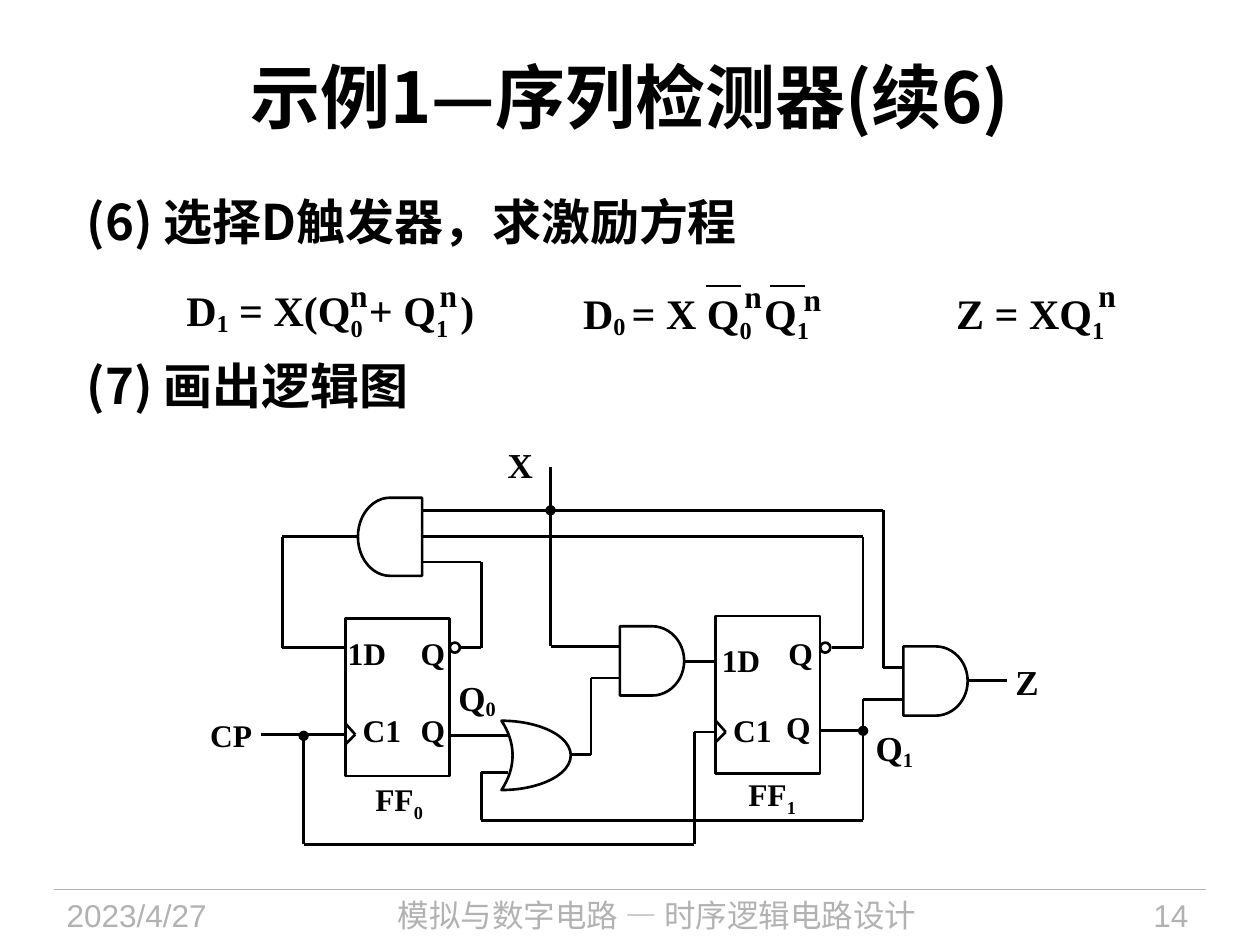
from lxml import etree
from pptx import Presentation
from pptx.dml.color import RGBColor
from pptx.enum.shapes import MSO_CONNECTOR, MSO_SHAPE
from pptx.enum.text import MSO_ANCHOR, MSO_AUTO_SIZE, PP_ALIGN
from pptx.oxml.ns import qn
from pptx.util import Inches, Pt

BLACK = RGBColor(0x00, 0x00, 0x00)
WHITE = RGBColor(0xFF, 0xFF, 0xFF)
GRAY = RGBColor(0xB2, 0xB2, 0xB2)
HAN, SERIF, SANS = "Noto Sans CJK SC", "Times New Roman", "Arial"
LEFT, CENTER, RIGHT = PP_ALIGN.LEFT, PP_ALIGN.CENTER, PP_ALIGN.RIGHT
MIDDLE = MSO_ANCHOR.MIDDLE
GROW = MSO_AUTO_SIZE.SHAPE_TO_FIT_TEXT
STRAIGHT = MSO_CONNECTOR.STRAIGHT
RECTANGLE, OVAL = MSO_SHAPE.RECTANGLE, MSO_SHAPE.OVAL
DELAY, MOON = MSO_SHAPE.FLOWCHART_DELAY, MSO_SHAPE.MOON
COLUMNS, ROWS = 100, 75


class CircuitPage:
    def __init__(self, deck):
        self.page = deck.slides.add_slide(deck.slide_layouts[5])
        self.shapes = self.page.shapes
        self.column = deck.slide_width / COLUMNS
        self.row = deck.slide_height / ROWS

    def place(self, left, top, width, height):
        return (round(left * self.column), round(top * self.row),
                round(width * self.column), round(height * self.row))

    def style(self, span, size, font=SERIF, color=BLACK, bold=True):
        span.font.size = Pt(size)
        span.font.bold = bold
        span.font.color.rgb = color
        span.font.name = font
        if font == HAN:
            etree.SubElement(span.font._element, qn("a:ea")).set("typeface", HAN)

    def title(self, area, text, size):
        box = self.shapes.title
        box.left, box.top, box.width, box.height = self.place(*area)
        box.text_frame.text = text
        box.text_frame.vertical_anchor = MIDDLE
        para = box.text_frame.paragraphs[0]
        para.alignment = CENTER
        self.style(para.runs[0], size, HAN)

    def text(self, area, lines, size, font, color=BLACK, bold=True, align=LEFT, gap=0):
        frame = self.shapes.add_textbox(*self.place(*area)).text_frame
        frame.word_wrap = True
        frame.text = "\n".join(lines)
        for index, para in enumerate(frame.paragraphs):
            para.alignment = align
            para.space_before = Pt(gap if index else 0)
            self.style(para.runs[0], size, font, color, bold)

    def label(self, area, spans, size=18):
        frame = self.shapes.add_textbox(*self.place(*area)).text_frame
        frame.word_wrap = False
        frame.auto_size = GROW
        para = frame.paragraphs[0]
        for text, baseline, spacing in spans:
            span = para.add_run()
            span.text = text
            self.style(span, size)
            if baseline:
                span.font._element.set("baseline", str(baseline * 1000))
            if spacing:
                span.font._element.set("spc", str(spacing))

    def wire(self, points, dot=False, color=BLACK, weight=1.5):
        for index, (start, end) in enumerate(zip(points, points[1:])):
            ends = self.place(*start, *end)
            line = self.shapes.add_connector(STRAIGHT, *ends)
            line.line.color.rgb = color
            line.line.width = Pt(weight)
            properties = line._element.spPr
            if dot and index == 0:
                head = etree.SubElement(properties.find(qn("a:ln")), qn("a:headEnd"))
                head.set("type", "oval")
            etree.SubElement(properties, qn("a:effectLst"))

    def outline(self, kind, area, fill=None, turn=0, bend=None):
        shape = self.shapes.add_shape(kind, *self.place(*area))
        shape.shadow.inherit = False
        shape.line.color.rgb = BLACK
        shape.line.width = Pt(1.5)
        shape.rotation = turn
        if fill is None:
            shape.fill.background()
        else:
            shape.fill.solid()
            shape.fill.fore_color.rgb = fill
        if bend is not None:
            shape.adjustments[0] = bend

    def flip_flop(self, left, top):
        self.outline(RECTANGLE, (left, top, 8.3, 12.5))
        self.wire([(left, top + 8.3), (left + 0.8, top + 9.2), (left, top + 10)])
        self.outline(OVAL, (left + 8.3, 51, 0.8, 0.8))


def plain(text):
    return [(text, 0, 0)]


def indexed(text, index, drop=-25):
    return [(text, 0, 0), (index, drop, 0)]


EQUATIONS = [
    ((13.8, 22.1, 25.8, 5.1), indexed("D", "1", -15) + [
        (" = X(Q", 0, 0), ("0 ", -25, 0), ("+ Q", 0, 0), ("1 ", -25, 175), (")", 0, 0)]),
    ((45.3, 22.3, 20.8, 5.1), indexed("D", "0 ", -15) + [
        ("= X Q", 0, 0), ("0 ", -25, 175), ("Q", 0, 0), ("1", -25, 0)]),
    ((74.9, 22.3, 13.9, 5), indexed("Z = XQ", "1")),
]
EXPONENTS = [(26.8, 21.4), (33.9, 21.4), (58.1, 21.5), (62.8, 21.7), (86.2, 21.4)]
PIN_LABELS = [
    ("1D", 26.6, 49.8, 5.1), ("1D", 56.3, 50.4, 5.1),
    ("C1", 27.8, 55.9, 5.1), ("C1", 57.2, 55.9, 5.1),
    ("Q", 32.4, 49.8, 4), ("Q", 61.6, 49.8, 4),
    ("Q", 32.4, 55.9, 4), ("Q", 61.4, 55.7, 4),
    ("CP", 15.7, 56.3, 5.3),
]
WIRES = [
    [(27.4, 58.3), (20.7, 58.3)],
    [(28.7, 42.6), (22.4, 42.6), (22.4, 51.4), (27.4, 51.4)],
    [(36.6, 51.4), (38.2, 51.4), (38.2, 44.6), (33.2, 44.6)],
    [(66, 51.4), (68.5, 51.4), (68.5, 42.6), (33.2, 42.6)],
    [(33.2, 40.5), (70.1, 40.5), (70.1, 53), (72.4, 53)],
    [(43.7, 40.5), (43.7, 37.1)],
    [(44.5, 59.9), (46.9, 59.9), (46.9, 53.8), (49.3, 53.8)],
    [(65.1, 58), (68.5, 58), (68.5, 55.5), (72.2, 55.5)],
    [(76.6, 54), (79.9, 54)],
    [(35.8, 58.4), (40.6, 58.4)],
    [(53.5, 52.5), (56.7, 52.5)],
]
BRANCHES = [
    [(24.1, 58.4), (24.1, 67), (55.1, 67), (55.1, 58.1), (56.8, 58.1)],
    [(43.7, 40.5), (43.7, 51.3), (49.2, 51.3)],
    [(68.5, 58), (68.5, 65.1), (38.2, 65.1), (38.2, 61.3), (40.3, 61.3)],
]


def main():
    deck = Presentation()
    deck.slide_width, deck.slide_height = Inches(10), Inches(7.5)
    circuit = CircuitPage(deck)

    circuit.wire([(4.3, 70.6), (95.7, 70.6)], color=GRAY, weight=0.75)
    for text, left, width, font, align in [
        ("2023/4/27", 4.3, 18.8, SANS, LEFT),
        ("模拟与数字电路 — 时序逻辑电路设计", 24, 56.3, HAN, CENTER),
        ("14", 82, 13.3, SANS, RIGHT),
    ]:
        circuit.text((left, 70.6, width, 4.4), [text], 18, font, GRAY, False, align)

    circuit.title((5, 1.7, 90, 11.7), "示例1—序列检测器(续6)", 40)
    steps = ["(6) 选择D触发器，求激励方程", "(7) 画出逻辑图"]
    circuit.text((5.9, 14.7, 59.1, 19.7), steps, 28, HAN, gap=60)

    for area, spans in EQUATIONS:
        circuit.label(area, spans, 24)
    for left, top in EXPONENTS:
        circuit.label((left, top, 3.4, 4), plain("n"))
    for left in (56, 61.1):
        circuit.wire([(left, 22.7), (left + 2.8, 22.7)])

    circuit.flip_flop(27.4, 49.1)
    circuit.flip_flop(56.8, 48.9)
    for text, left, top, width in PIN_LABELS:
        circuit.label((left, top, width, 4), plain(text))
    circuit.label((28.8, 61.4, 5.9, 4), indexed("FF", "0"))
    circuit.label((58.4, 61, 5.9, 4), indexed("FF", "1"))

    for points in WIRES:
        circuit.wire(points)
    for points in BRANCHES:
        circuit.wire(points, dot=True)

    circuit.label((39.3, 34.7, 4, 4.3), plain("X"), 20)
    circuit.label((79.6, 51.9, 3.9, 4.3), plain("Z"), 20)
    circuit.label((35.4, 53.2, 5.1, 4.3), indexed("Q", "0", -15), 20)
    circuit.label((68.5, 57.2, 5.1, 4.3), indexed("Q", "1", -15), 20)

    circuit.outline(DELAY, (28.4, 39.5, 5.1, 6.2), WHITE, 180)
    circuit.outline(DELAY, (49.2, 49.7, 5.1, 5.5), WHITE)
    circuit.outline(DELAY, (71.7, 51.3, 5.1, 5.5), WHITE)
    circuit.outline(MOON, (39.8, 57.2, 5.5, 5.5), WHITE, 180, 0.84)

    deck.save("out.pptx")


if __name__ == "__main__":
    main()
